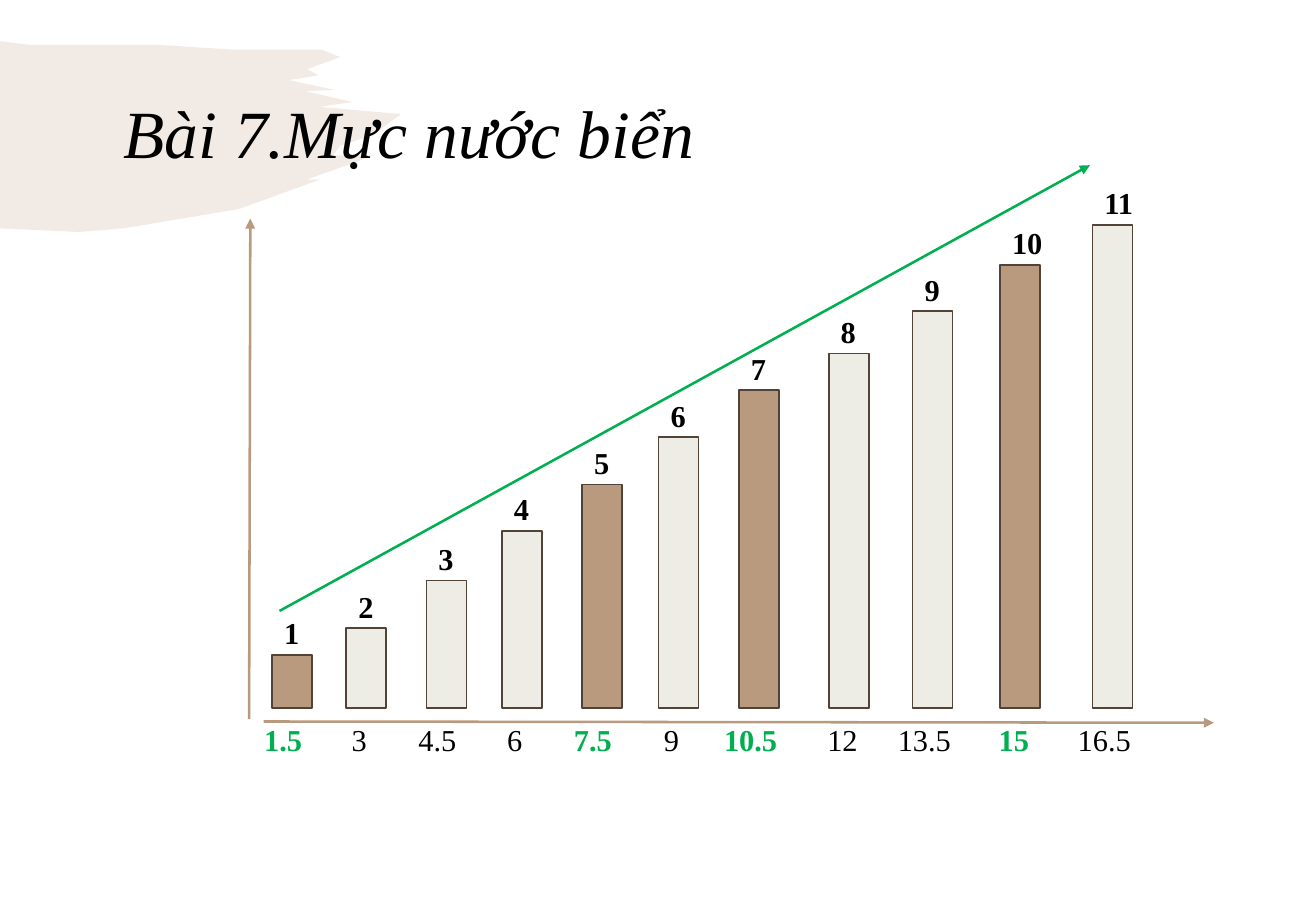
from dataclasses import dataclass

from lxml.etree import SubElement
from pptx import Presentation
from pptx.dml.color import RGBColor
from pptx.enum.shapes import MSO_CONNECTOR, MSO_SHAPE
from pptx.enum.text import MSO_ANCHOR
from pptx.oxml.ns import qn
from pptx.util import Inches, Pt


@dataclass(frozen=True)
class Theme:
    font: str = "Times New Roman"
    title_size: int = 40
    label_size: int = 18
    text: str = "000000"
    tan: str = "BA9A7F"
    cream: str = "EDECE5"
    outline: str = "524338"
    green: str = "00B050"
    bar_line: float = 1
    arrow_line: float = 1.5


THEME = Theme()
COLUMNS, ROWS = 108.3, 75
CELL = Inches(0.1)

HOURS_PER_LEVEL = 1.5
HIGHLIGHTED_LEVELS = {1, 5, 7, 10}
BAR_LEFTS = [22.4, 28.5, 35.1, 41.3, 47.9, 54.2, 60.8, 68.2, 75.1, 82.3, 89.9]
BAR_TOPS = [53.9, 51.7, 47.8, 43.7, 39.9, 36, 32.1, 29.1, 25.6, 21.8, 18.5]
BAR_WIDTH, BAR_BOTTOM = 3.3, 58.3
LEVEL_RISE = 3.8
TICK_TOP, TICK_SHIFT = 58.85, 0.55
LABEL_WIDTH, LABEL_HEIGHT = 8.9, 4

BRUSH_OUTLINE = [
    (0, 3.4), (2.5, 3.7), (13, 3.7), (19.4, 4.1), (26.5, 4.1), (28, 4.7),
    (25.3, 5.7), (26.2, 6.2), (23.8, 6.6), (27.5, 7.4), (25.1, 7.5),
    (29, 8.4), (26.3, 8.8), (33, 9.4), (30.7, 11.1), (28, 12),
    (27.4, 12.8), (30.8, 12.8), (25.2, 14.8), (26.3, 14.8), (19.7, 17.2),
    (10.2, 18.8), (6.5, 19.1), (0, 18.8),
]


def cells(count):
    return round(count * CELL)


def color(value):
    return RGBColor.from_string(value)


def add_brush(page):
    outline = [tuple(map(cells, point)) for point in BRUSH_OUTLINE]
    builder = page.shapes.build_freeform(*outline[0])
    builder.add_line_segments(outline[1:], close=True)
    brush = builder.convert_to_shape()
    brush.shadow.inherit = False
    brush.line.fill.background()
    brush.fill.solid()
    brush.fill.fore_color.rgb = color(THEME.tan)
    tint = next(brush._element.spPr.iter(qn("a:srgbClr")))
    SubElement(tint, qn("a:alpha"), val="20000")


def add_text(page, text, left, top, width=LABEL_WIDTH, height=LABEL_HEIGHT,
             size=THEME.label_size, ink=THEME.text, bold=False, italic=False):
    box = page.shapes.add_textbox(*map(cells, (left, top, width, height)))
    frame = box.text_frame
    frame.word_wrap = True
    frame.text = text
    font = frame.paragraphs[0].runs[0].font
    font.name, font.size = THEME.font, Pt(size)
    font.bold, font.italic = bold, italic
    font.color.rgb = color(ink)
    return frame


def add_title(page, text):
    left = 9.2
    frame = add_text(page, text, left, 4, COLUMNS - left, 14.5,
                     size=THEME.title_size, italic=True)
    frame.vertical_anchor = MSO_ANCHOR.MIDDLE
    frame.paragraphs[0].line_spacing = 0.9


def add_bar(page, left, top, fill):
    bar = page.shapes.add_shape(
        MSO_SHAPE.RECTANGLE, *map(cells, (left, top, BAR_WIDTH, BAR_BOTTOM - top)))
    bar.shadow.inherit = False
    bar.fill.solid()
    bar.fill.fore_color.rgb = color(fill)
    bar.line.color.rgb = color(THEME.outline)
    bar.line.width = Pt(THEME.bar_line)


def add_arrow(page, start, end, ink):
    arrow = page.shapes.add_connector(MSO_CONNECTOR.STRAIGHT, *map(cells, (*start, *end)))
    arrow.line.color.rgb = color(ink)
    arrow.line.width = Pt(THEME.arrow_line)
    properties = arrow._element.spPr
    SubElement(properties.find(qn("a:ln")), qn("a:tailEnd"), type="triangle")
    SubElement(properties, qn("a:effectLst"))


def add_level(page, level, left, top):
    """Add one bar with its level above and its time below."""
    highlighted = level in HIGHLIGHTED_LEVELS
    time = f"{level * HOURS_PER_LEVEL:g}"
    add_bar(page, left, top, THEME.tan if highlighted else THEME.cream)
    add_text(page, str(level), left, top - LEVEL_RISE, bold=True)
    add_text(page, time, left - TICK_SHIFT * len(time), TICK_TOP,
             ink=THEME.green if highlighted else THEME.text, bold=highlighted)


def main():
    deck = Presentation()
    deck.slide_width, deck.slide_height = cells(COLUMNS), cells(ROWS)
    page = deck.slides.add_slide(deck.slide_layouts[6])
    add_brush(page)
    add_title(page, "Bài 7.Mực nước biển")
    for level, (left, top) in enumerate(zip(BAR_LEFTS, BAR_TOPS), start=1):
        add_level(page, level, left, top)
    add_arrow(page, (21.7, 59.4), (99.9, 59.5), THEME.tan)
    add_arrow(page, (20.5, 59.2), (20.6, 18), THEME.tan)
    add_arrow(page, (23, 50.3), (89.7, 13.6), THEME.green)
    deck.save("out.pptx")


if __name__ == "__main__":
    main()
